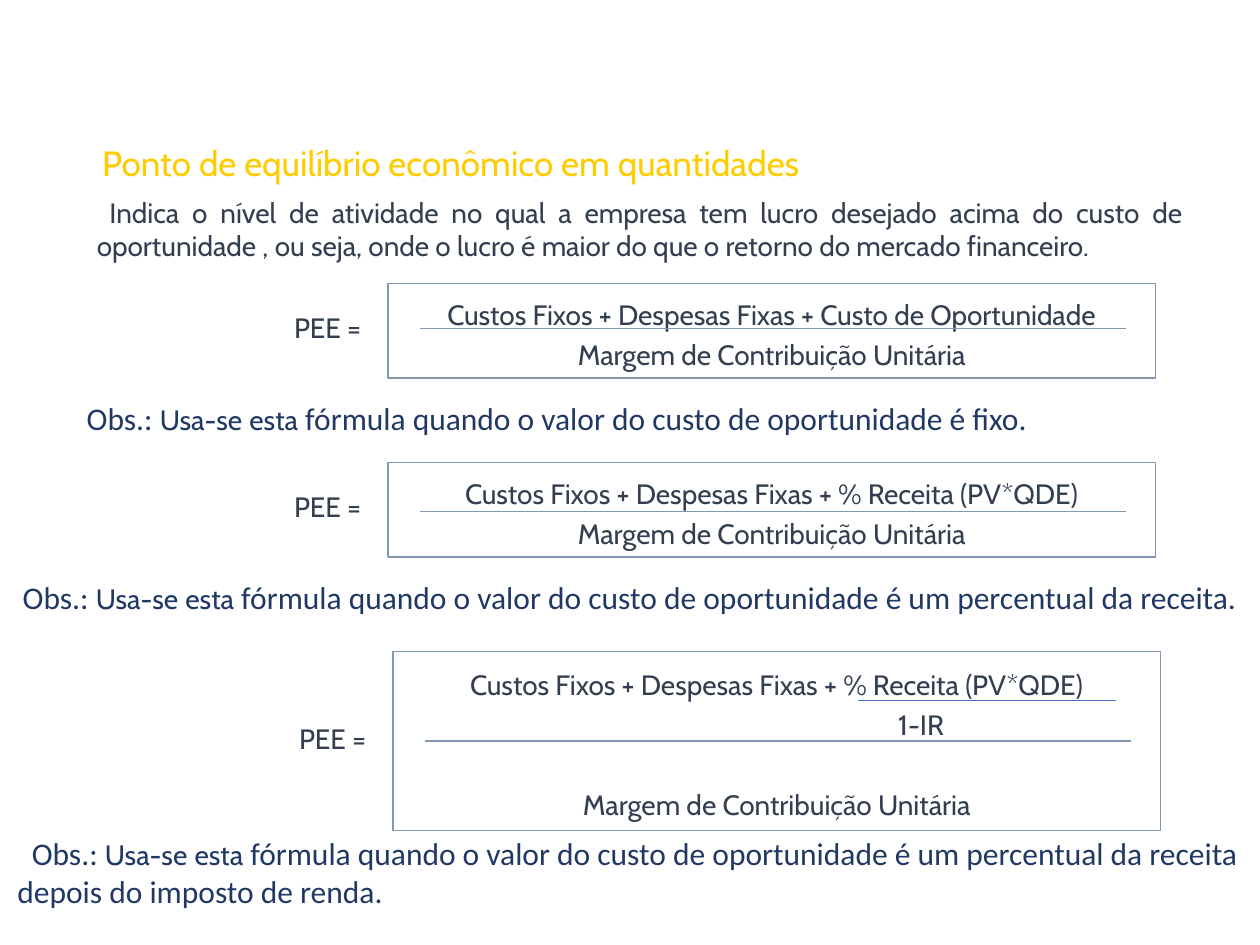
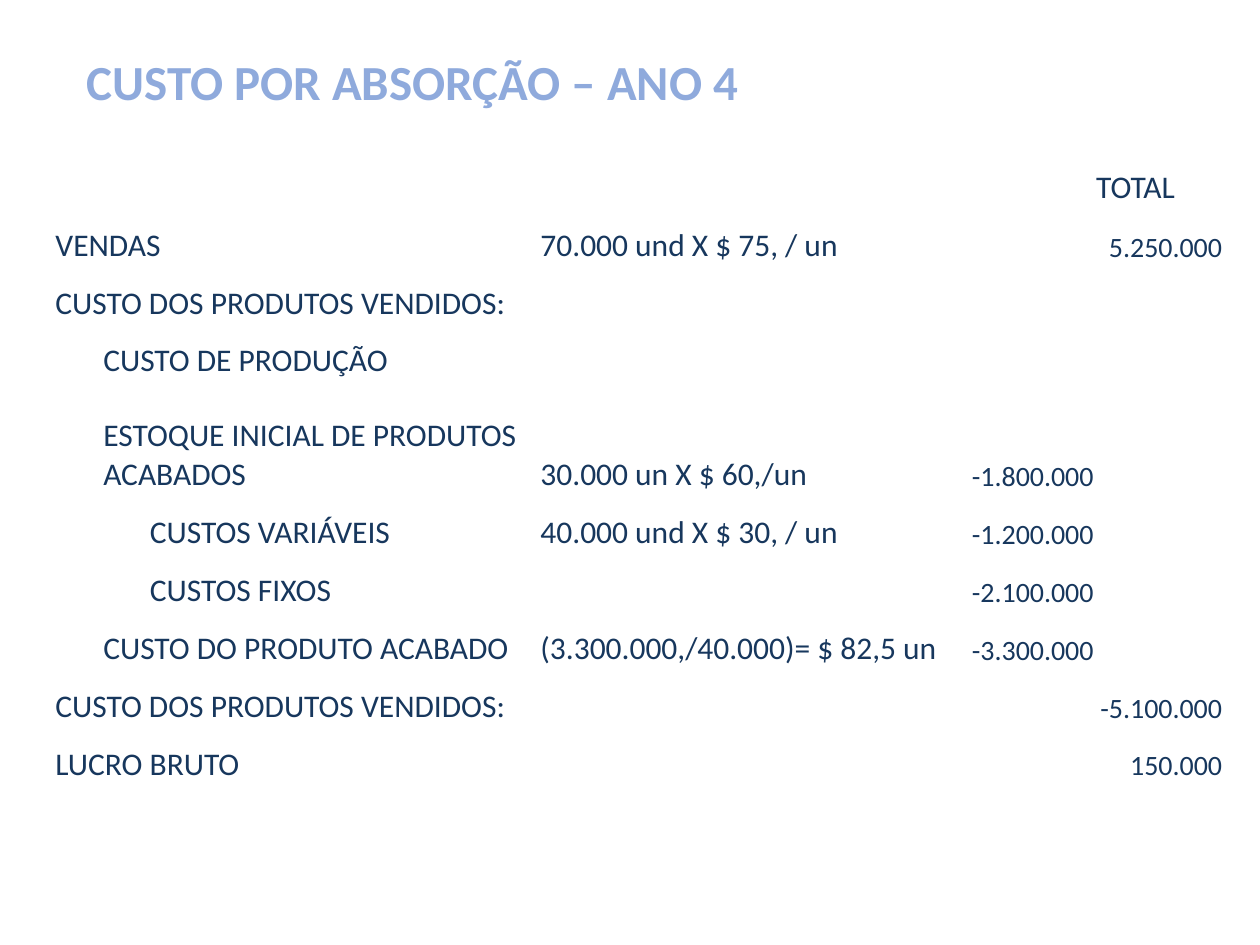
import pptx
import pptx.util
import pptx.dml.color
import pptx.enum.shapes
import pptx.enum.text
from lxml import etree

Inches, Pt = pptx.util.Inches, pptx.util.Pt
ALIGN = pptx.enum.text.PP_ALIGN
ANCHOR = pptx.enum.text.MSO_ANCHOR

# Shared look
BODY_FONT, NOTE_FONT = "Cabin", "Calibri"
GOLD, SLATE, NAVY = "FFCC00", "333F50", "203864"
PALE_BLUE, TABLE_BLUE = "8FAADC", "17375D"
RULE_GREY, RULE_BLUE, WHITE = "8497B0", "4472C4", "FFFFFF"


def rgb(code):
    return pptx.dml.color.RGBColor.from_string(code)


def write(paragraph, text, size=16, font=BODY_FONT, color=SLATE, bold=False,
          align=ALIGN.LEFT, spacing=None):
    paragraph.alignment = align
    if spacing:
        paragraph.line_spacing = spacing
    run = paragraph.add_run()
    run.text = text
    run.font.size, run.font.name, run.font.bold = Pt(size), font, bold
    run.font.color.rgb = rgb(color)


def prepare(frame, anchor=ANCHOR.TOP):
    frame.word_wrap = True
    frame.auto_size = pptx.enum.text.MSO_AUTO_SIZE.NONE
    frame.vertical_anchor = anchor
    frame.margin_left = frame.margin_right = Inches(0.1)
    frame.margin_top = frame.margin_bottom = Inches(0.05)
    return frame


def text_box(slide, left, top, width, height, anchor=ANCHOR.TOP):
    box = slide.shapes.add_textbox(Inches(left), Inches(top), Inches(width), Inches(height))
    return prepare(box.text_frame, anchor)


def titled_slide(deck, text, box, **style):
    slide = deck.slides.add_slide(deck.slide_layouts[5])
    title = slide.shapes.title
    title.left, title.top, title.width, title.height = map(Inches, box)
    write(prepare(title.text_frame).paragraphs[0], text, **style)
    return slide


def rule(slide, left, top, width, color=RULE_GREY, weight=0.75):
    line = slide.shapes.add_connector(
        pptx.enum.shapes.MSO_CONNECTOR.STRAIGHT,
        Inches(left), Inches(top), Inches(left + width), Inches(top))
    line.line.color.rgb = rgb(color)
    line.line.width = Pt(weight)
    etree.SubElement(line._element.spPr, pptx.oxml.ns.qn("a:effectLst"))


def formula(slide, left, top, height, bar, numerator, tax_divisor=None):
    """Framed fraction with its PEE label; bar is the depth of the fraction bar."""
    frame = slide.shapes.add_shape(
        pptx.enum.shapes.MSO_SHAPE.RECTANGLE,
        Inches(left), Inches(top), Inches(6.09), Inches(height))
    frame.shadow.inherit = False
    frame.fill.background()
    frame.line.color.rgb = rgb(RULE_GREY)
    frame.line.width = Pt(0.75)
    text = prepare(frame.text_frame, ANCHOR.MIDDLE)
    centred = dict(align=ALIGN.CENTER, spacing=1.2)
    write(text.paragraphs[0], numerator, **centred)
    if tax_divisor:
        divisor = text.add_paragraph()
        divisor._p.get_or_add_pPr().set("marL", str(Inches(2.29)))
        write(divisor, tax_divisor, **centred)
        rule(slide, left + 3.69, top + 0.39, 2.05, RULE_BLUE, 0.5)
    denominator = text.add_paragraph()
    if tax_divisor:
        denominator.space_before = Pt(23)
    write(denominator, "Margem de Contribuição Unitária", **centred)
    rule(slide, left + 0.25, top + bar, 5.61)
    label = text_box(slide, left - 0.99, top + height / 2 - 0.25, 1.02, 0.4, ANCHOR.MIDDLE)
    write(label.paragraphs[0], "PEE =", **centred)


def note(slide, left, top, width, condition, align=ALIGN.CENTER, ending=None):
    """Remark saying when the formula above applies."""
    text = text_box(slide, left, top, width, 0.7 if ending else 0.4)
    plain = dict(size=18, font=NOTE_FONT, color=NAVY)
    accent = dict(size=16, font=BODY_FONT, color=NAVY)
    opening = text.paragraphs[0]
    for words, style in (
            ("Obs.: ", plain), ("Usa-se", accent), (" ", plain), ("esta", accent),
            (" fórmula quando o valor do custo de oportunidade é " + condition, plain)):
        write(opening, words, align=align, **style)
    if ending:
        write(text.add_paragraph(), ending, **plain)


def break_even_slide(deck):
    slide = titled_slide(deck, "Ponto de equilíbrio econômico em quantidades",
                         (0.71, 1.07, 7.96, 0.44), size=20, color=GOLD)
    definition = text_box(slide, 0.67, 1.5, 8.82, 0.9).paragraphs[0]
    definition._p.get_or_add_pPr().set("indent", str(Inches(0.1)))
    write(definition, "Indica o nível de atividade no qual a empresa tem lucro desejado "
          "acima do custo de oportunidade , ou seja, onde o lucro é maior do que o "
          "retorno do mercado financeiro.", align=ALIGN.JUSTIFY)

    # Each formula with its remark
    fixed = "Custos Fixos + Despesas Fixas + "
    on_revenue = fixed + "% Receita (PV*QDE)"
    formula(slide, 3.08, 2.25, 0.75, 0.36, fixed + "Custo de Oportunidade")
    note(slide, 0.59, 3.12, 8.43, "fixo.", align=ALIGN.LEFT)
    formula(slide, 3.08, 3.67, 0.75, 0.39, on_revenue)
    note(slide, 0, 4.54, 10, "um percentual da receita.")
    formula(slide, 3.12, 5.17, 1.42, 0.71, on_revenue, tax_divisor="1-IR")
    note(slide, 0.04, 6.57, 10, "um percentual da receita",
         ending="depois do imposto de renda.")


# Indent level, item, calculation, partial amount, total
COST_ROWS = [
    (0, "", "", "", "TOTAL"),
    (0, "VENDAS", "70.000 und X $ 75, / un", "", "5.250.000"),
    (0, "CUSTO DOS PRODUTOS VENDIDOS:", "", "", ""),
    (1, "CUSTO DE PRODUÇÃO", "", "", ""),
    (1, "ESTOQUE INICIAL DE PRODUTOS ACABADOS", "30.000 un X $ 60,/un", "-1.800.000", ""),
    (2, "CUSTOS VARIÁVEIS", "40.000 und X $ 30, / un", "-1.200.000", ""),
    (2, "CUSTOS FIXOS", "", "-2.100.000", ""),
    (1, "CUSTO DO PRODUTO ACABADO", "(3.300.000,/40.000)= $ 82,5 un", "-3.300.000", ""),
    (0, "CUSTO DOS PRODUTOS VENDIDOS:", "", "", "-5.100.000"),
    (0, "LUCRO BRUTO", "", "", "150.000"),
]
COST_COLUMNS = [0.38, 0.37, 3.1, 3.38, 1.03, 1.02]


def cost_table(slide, left, top):
    heights = [0.9 if row[1].startswith("ESTOQUE") else 0.46 for row in COST_ROWS]
    table = slide.shapes.add_table(
        len(COST_ROWS), len(COST_COLUMNS), Inches(left), Inches(top),
        Inches(sum(COST_COLUMNS)), Inches(sum(heights))).table
    table.first_row = table.horz_banding = False
    for column, width in zip(table.columns, COST_COLUMNS):
        column.width = Inches(width)
    for row, height in zip(table.rows, heights):
        row.height = Inches(height)
        for cell in row.cells:
            cell.fill.solid()
            cell.fill.fore_color.rgb = rgb(WHITE)
            cell.vertical_anchor = ANCHOR.BOTTOM
            cell.margin_left = cell.margin_right = Inches(0.01)

    for index, (level, item, *values) in enumerate(COST_ROWS):
        last = 2 if item else 1
        if level < last:
            table.cell(index, level).merge(table.cell(index, last))
        for column, text in zip((level, 3, 4, 5), (item, *values)):
            if text:
                amount = column > 3 and index > 0
                write(table.cell(index, column).text_frame.paragraphs[0], text,
                      size=16 if amount else 18, font=NOTE_FONT, color=TABLE_BLUE,
                      align=ALIGN.RIGHT if amount else ALIGN.LEFT)


def absorption_slide(deck):
    slide = titled_slide(deck, "CUSTO POR ABSORÇÃO – ANO 4", (0.59, 0.36, 6.3, 0.57),
                         size=28, font=NOTE_FONT, color=PALE_BLUE, bold=True)
    cost_table(slide, 0.43, 1.23)


def main():
    deck = pptx.Presentation()
    deck.slide_width, deck.slide_height = Inches(10), Inches(7.5)
    break_even_slide(deck)
    absorption_slide(deck)
    deck.save("out.pptx")


if __name__ == "__main__":
    main()
